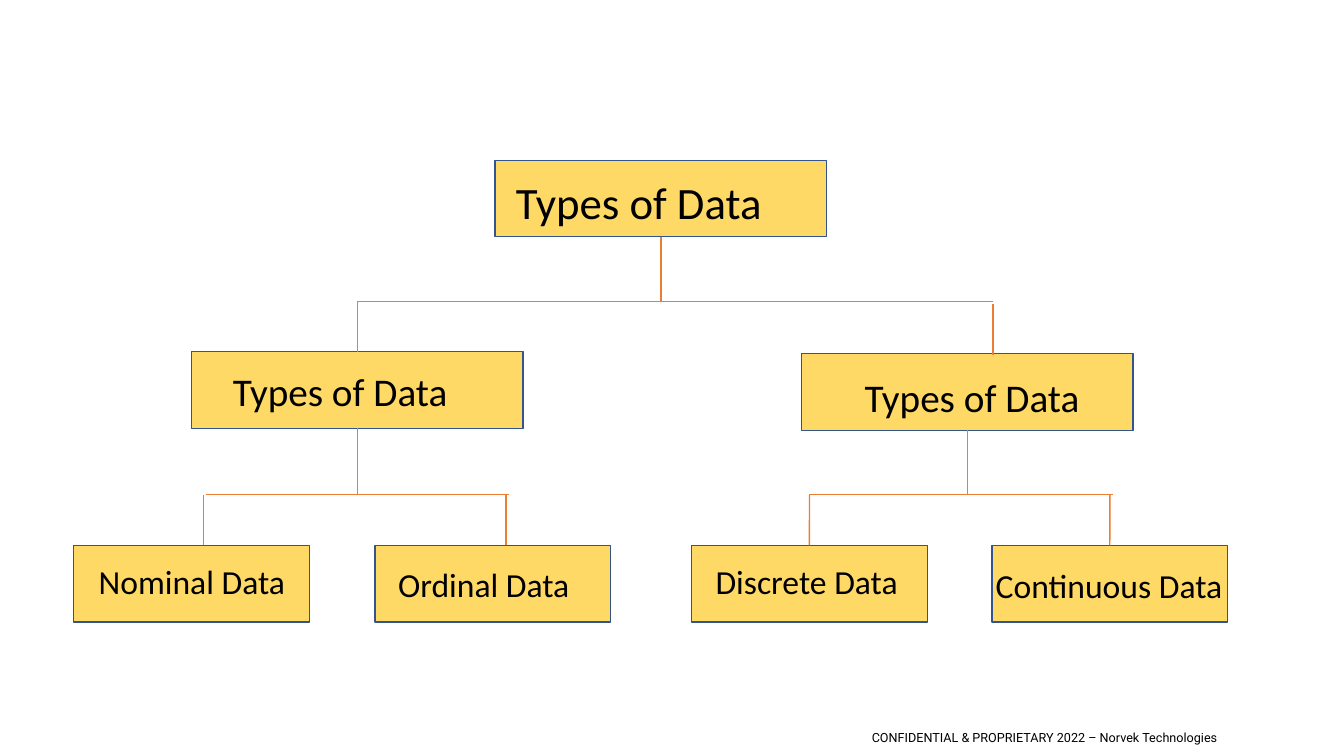
import pptx
import pptx.dml.color
import pptx.enum.shapes
import pptx.enum.text
import pptx.oxml.ns
import pptx.util
import lxml.etree

deck = pptx.Presentation()
deck.slide_width = pptx.util.Inches(13.33)
deck.slide_height = pptx.util.Inches(7.5)
slide = deck.slides.add_slide(deck.slide_layouts[6])

# Grid of 100 columns by 100 rows
COLUMN = deck.slide_width / 100
ROW = deck.slide_height / 100
BOX_HEIGHT = 10.13
TOP, BOTTOM = 0, 2


def grid(*lengths):
    """Turn alternating columns and rows into EMU."""
    return [int(n * (ROW if i % 2 else COLUMN)) for i, n in enumerate(lengths)]


def color(target, hex_color):
    """Set a fill, or a colour format, to a hex colour."""
    if hasattr(target, "solid"):
        target.solid()
        target = target.fore_color
    target.rgb = pptx.dml.color.RGBColor.from_string(hex_color)


# Boxes: left, top, width
boxes = {}
for key, left, top, width in [
    ("root", 36.83, 21.2, 24.68),
    ("right", 59.63, 46.8, 24.68),
    ("left", 14.25, 46.53, 24.68),
    ("nominal", 5.48, 72.13, 17.55),
    ("ordinal", 27.9, 72.13, 17.55),
    ("discrete", 51.45, 72.13, 17.55),
    ("continuous", 73.8, 72.13, 17.55),
]:
    box = slide.shapes.add_shape(
        pptx.enum.shapes.MSO_SHAPE.RECTANGLE, *grid(left, top, width, BOX_HEIGHT))
    box.shadow.inherit = False
    color(box.fill, "FFD966")
    color(box.line.fill, "325491")
    box.line.width = pptx.util.Pt(1)
    boxes[key] = box

# Branches: from, to, weight, joined box and side at each end
upper_rail, lower_rail, drop_start, leaf_top = 39.87, 65.33, 65.47, 72.13
for x1, y1, x2, y2, weight, begin, end in [
    (49.17, 31.33, 49.17, upper_rail, 1, ("root", BOTTOM), None),
    (71.97, 56.93, 71.97, lower_rail, 1, ("right", BOTTOM), None),
    (26.59, 56.66, 26.59, lower_rail, 1, ("left", BOTTOM), None),
    (26.59, upper_rail, 73.85, upper_rail, 0.5, None, None),
    (15.3, lower_rail, 37.88, lower_rail, 0.5, None, None),
    (60.23, lower_rail, 82.8, lower_rail, 0.5, None, None),
    (26.59, upper_rail, 26.59, 46.53, 1, None, ("left", TOP)),
    (73.88, 40.27, 73.88, 46.93, 1, None, None),
    (15.15, drop_start, 15.15, leaf_top, 1, None, None),
    (37.65, drop_start, 37.65, leaf_top, 1, None, None),
    (60.23, drop_start, 60.23, leaf_top, 1, None, ("discrete", TOP)),
    (82.58, drop_start, 82.58, leaf_top, 1, None, ("continuous", TOP)),
]:
    branch = slide.shapes.add_connector(
        pptx.enum.shapes.MSO_CONNECTOR.STRAIGHT, *grid(x1, y1, x2, y2))
    color(branch.line.fill, "ED7D31")
    branch.line.width = pptx.util.Pt(weight)
    lxml.etree.SubElement(branch._element.spPr, pptx.oxml.ns.qn("a:effectLst"))
    if begin:
        branch.begin_connect(boxes[begin[0]], begin[1])
    if end:
        branch.end_connect(boxes[end[0]], end[1])

# Labels: wording, left, top, width, height, size, font
footer = "CONFIDENTIAL & PROPRIETARY 2022 – Norvek Technologies"
for wording, left, top, width, height, size, font in [
    ("Types of Data", 37.65, 22.4, 22.58, 8.53, 32, "Calibri"),
    ("Types of Data", 16.58, 47.87, 22.58, 7.6, 28, "Calibri"),
    ("Types of Data", 63.6, 48.67, 22.58, 7.6, 28, "Calibri"),
    ("Nominal Data", 6.6, 73.6, 16.5, 6.67, 24, "Calibri"),
    ("Ordinal Data", 28.88, 73.87, 16.5, 6.67, 24, "Calibri"),
    ("Discrete Data", 52.5, 73.6, 16.5, 6.67, 24, "Calibri"),
    ("Continuous Data", 73.35, 74, 18.53, 6.67, 24, "Calibri"),
    (footer, 62.48, 96, 30.45, 3.2, 9, "Roboto"),
]:
    label = slide.shapes.add_textbox(*grid(left, top, width, height))
    frame = label.text_frame
    frame.word_wrap = True
    paragraph = frame.paragraphs[0]
    if wording == footer:
        frame.vertical_anchor = pptx.enum.text.MSO_ANCHOR.MIDDLE
        paragraph.alignment = pptx.enum.text.PP_ALIGN.CENTER
    else:
        frame.auto_size = pptx.enum.text.MSO_AUTO_SIZE.SHAPE_TO_FIT_TEXT
    run = paragraph.add_run()
    run.text = wording
    run.font.name = font
    run.font.size = pptx.util.Pt(size)
    color(run.font.color, "000000")

deck.save("out.pptx")
